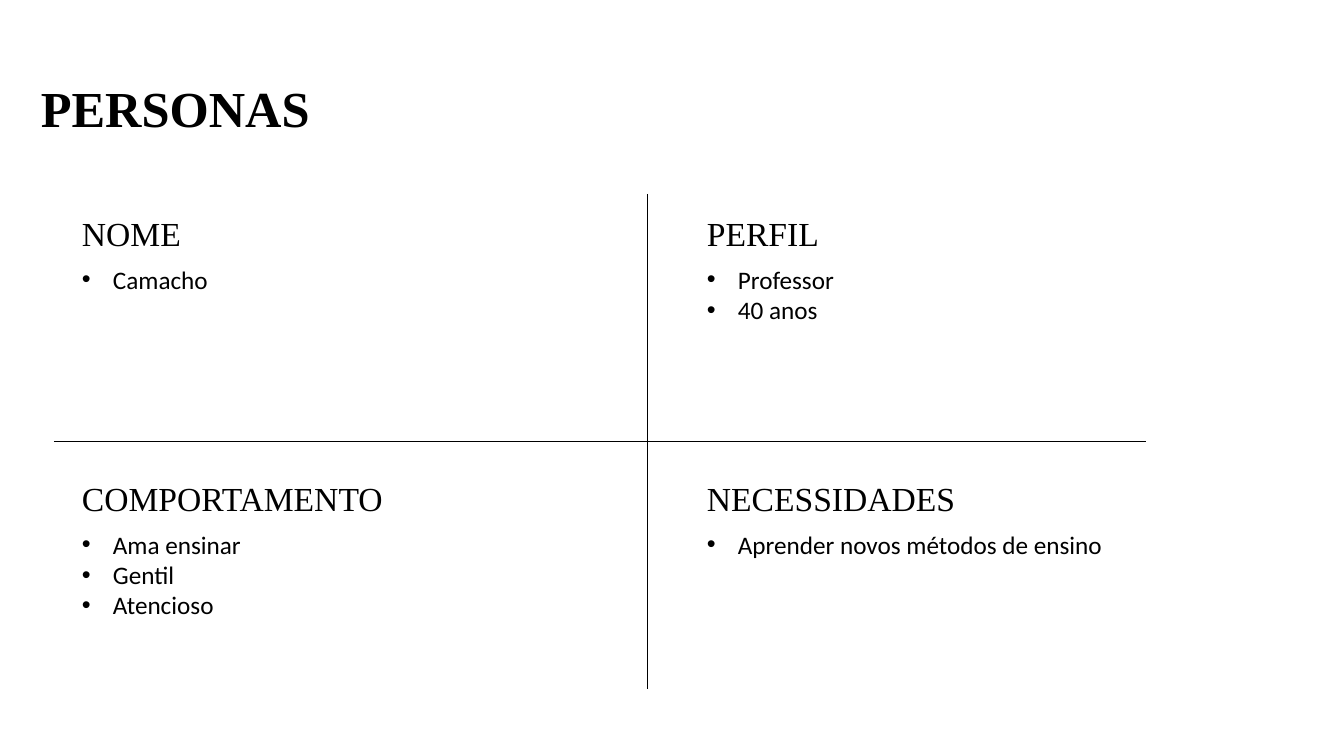
import pptx
import pptx.dml.color
import pptx.enum.shapes
import pptx.enum.text
import pptx.oxml.ns
import pptx.util
from lxml import etree

EMU_PER_PIXEL = 914400 / 100.8
BLACK = "000000"
SERIF, SANS = "Times New Roman", "Calibri"
INDENT = 31
HEADING_HEIGHT = 50
LIST_OFFSET = 51
LIST_PADDING, LIST_LINE = 10, 30.7


def emu(pixels):
    return pptx.util.Emu(round(pixels * EMU_PER_PIXEL))


def color(value):
    return pptx.dml.color.RGBColor.from_string(value)


def add_bullet(paragraph):
    properties = paragraph._p.get_or_add_pPr()
    properties.set("marL", str(emu(INDENT)))
    properties.set("indent", str(emu(-INDENT)))
    font = etree.SubElement(properties, pptx.oxml.ns.qn("a:buFont"))
    font.set("typeface", "Arial")
    bullet = etree.SubElement(properties, pptx.oxml.ns.qn("a:buChar"))
    bullet.set("char", "•")


def add_text(slide, box, lines, size, font, bold=False, bulleted=False):
    shape = slide.shapes.add_textbox(*map(emu, box))
    frame = shape.text_frame
    frame.word_wrap = False
    frame.auto_size = pptx.enum.text.MSO_AUTO_SIZE.SHAPE_TO_FIT_TEXT
    for index, line in enumerate(lines):
        paragraph = frame.add_paragraph() if index else frame.paragraphs[0]
        if bulleted:
            add_bullet(paragraph)
        run = paragraph.add_run()
        run.text = line
        run.font.size = pptx.util.Pt(size)
        run.font.name = font
        run.font.bold = bold
        run.font.color.rgb = color(BLACK)


def add_line(slide, start, end):
    line = slide.shapes.add_connector(
        pptx.enum.shapes.MSO_CONNECTOR.STRAIGHT, *map(emu, start + end))
    line.line.color.rgb = color(BLACK)
    line.line.width = pptx.util.Pt(0.5)
    etree.SubElement(line._element.spPr, pptx.oxml.ns.qn("a:effectLst"))


def add_quadrant(slide, left, top, heading, heading_width, items, list_width):
    add_text(slide, (left, top, heading_width, HEADING_HEIGHT),
             [heading], 24, SERIF)
    list_height = LIST_PADDING + LIST_LINE * len(items)
    add_text(slide, (left, top + LIST_OFFSET, list_width, list_height),
             items, 18, SANS, bulleted=True)


def add_cross(slide, left, top, right, bottom, center_x, center_y):
    add_line(slide, (center_x, top), (center_x, bottom))
    add_line(slide, (left, center_y), (right, center_y))


presentation = pptx.Presentation()
presentation.slide_width = emu(1344)
presentation.slide_height = emu(756)
slide = presentation.slides.add_slide(presentation.slide_layouts[6])

# Title
add_text(slide, (31, 72, 291, 72), ["PERSONAS"], 36, SERIF, bold=True)

# Four quadrants, row by row
columns, rows = (72, 697), (208, 473)
quadrants = [
    ("NOME", 120, ["Camacho"], 148),
    ("PERFIL", 133, ["Professor", "40 anos"], 149),
    ("COMPORTAMENTO", 325, ["Ama ensinar", "Gentil", "Atencioso"], 181),
    ("NECESSIDADES", 271, ["Aprender novos métodos de ensino"], 420),
]
for index, quadrant in enumerate(quadrants):
    row, column = divmod(index, len(columns))
    add_quadrant(slide, columns[column], rows[row], *quadrant)

# Dividing lines
add_cross(slide, 54, 194, 1146, 689, 647, 441)

presentation.save("out.pptx")
